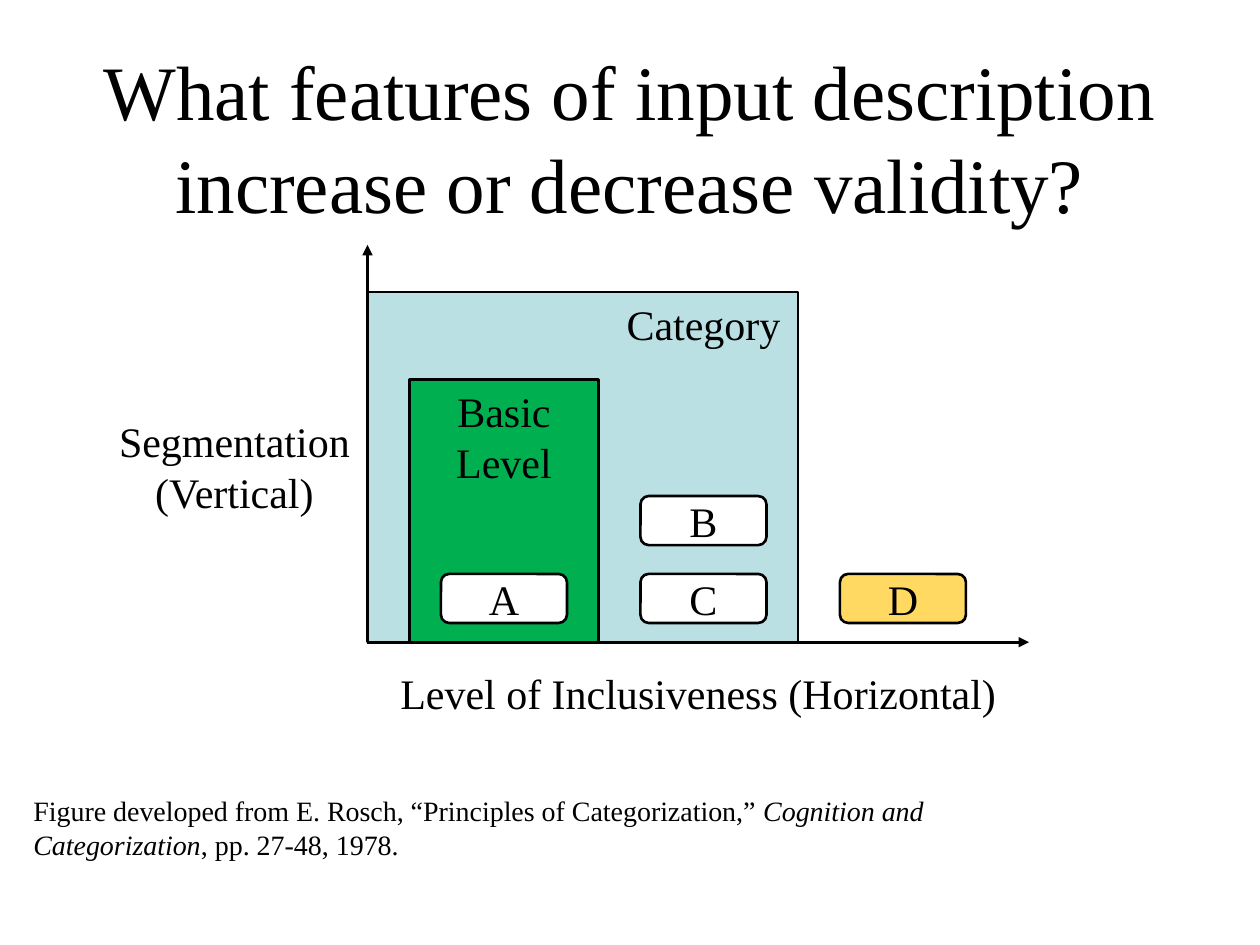
from lxml import etree
from pptx import Presentation
from pptx.dml.color import RGBColor
from pptx.enum.shapes import MSO_CONNECTOR, MSO_SHAPE
from pptx.enum.text import MSO_ANCHOR, PP_ALIGN
from pptx.oxml.ns import qn
from pptx.util import Pt

STRAIGHT = MSO_CONNECTOR.STRAIGHT
RECTANGLE, ROUNDED = MSO_SHAPE.RECTANGLE, MSO_SHAPE.ROUNDED_RECTANGLE
MIDDLE = MSO_ANCHOR.MIDDLE
LEFT, CENTER = PP_ALIGN.LEFT, PP_ALIGN.CENTER
FONT_NAME = "Times New Roman"
BLACK, WHITE = "000000", "FFFFFF"
PALE_BLUE, GREEN, YELLOW = "BBE0E3", "00B050", "FFD961"


def color(hex_string):
    """Return the colour for a hex string."""
    return RGBColor.from_string(hex_string)


def format_text(text_frame, size, alignment=CENTER):
    """Wrap the text and give every run the slide font."""
    text_frame.word_wrap = True
    for paragraph in text_frame.paragraphs:
        paragraph.alignment = alignment
        for run in paragraph.runs:
            run.font.name = FONT_NAME
            run.font.size = Pt(size)
            run.font.color.rgb = color(BLACK)


def add_label(slide, box, text, size=24):
    """Add a centred text box."""
    label = slide.shapes.add_textbox(*map(Pt, box))
    label.text_frame.text = text
    format_text(label.text_frame, size)


def add_block(slide, kind, box, fill, text=""):
    """Add a filled, black-outlined shape with optional text."""
    shape = slide.shapes.add_shape(kind, *map(Pt, box))
    shape.shadow.inherit = False
    shape.fill.solid()
    shape.fill.fore_color.rgb = color(fill)
    shape.line.color.rgb = color(BLACK)
    shape.line.width = Pt(1.5)
    if text:
        shape.text_frame.text = text
        shape.text_frame.vertical_anchor = MIDDLE
        format_text(shape.text_frame, 24)


def add_line(slide, start, end, arrow=False):
    """Add a black line, with an arrowhead at its end if asked."""
    connector = slide.shapes.add_connector(STRAIGHT, *map(Pt, start + end))
    connector.line.color.rgb = color(BLACK)
    connector.line.width = Pt(1.5)
    if arrow:
        line = connector.line._get_or_add_ln()
        etree.SubElement(line, qn("a:tailEnd"), type="triangle")
    etree.SubElement(connector._element.spPr, qn("a:effectLst"))


def add_diagram(slide, left, top, width, height):
    """Draw the axes, the nested category areas and the lettered items."""
    bottom = top + height
    category_top, category_right = top + 27, left + 246
    origin = (left, bottom)
    corner = (category_right, category_top)
    add_line(slide, origin, (left + width, bottom), arrow=True)
    add_line(slide, origin, (left, top), arrow=True)
    add_line(slide, (left, category_top), corner)
    add_line(slide, corner, (category_right, bottom))

    add_block(slide, RECTANGLE, (left, category_top, 246, 200), PALE_BLUE)
    basic_left, basic_top = left + 24, bottom - 150
    add_block(slide, RECTANGLE, (basic_left, basic_top, 108, 150), GREEN)
    add_label(slide, (category_right - 108, category_top, 108, 34), "Category")
    add_label(slide, (basic_left, basic_top, 108, 60), "Basic Level")

    items = [("A", 0, 0, WHITE), ("B", 1, 1, WHITE),
             ("C", 1, 0, WHITE), ("D", 2, 0, YELLOW)]
    for letter, column, level, fill in items:
        box = (left + 42 + 114 * column, bottom - 39 - 44.5 * level, 72, 28)
        add_block(slide, ROUNDED, box, fill, letter)


def add_citation(slide, left, top, width, height):
    """Add the source reference with the book title in italics."""
    citation = slide.shapes.add_textbox(*map(Pt, (left, top, width, height)))
    paragraph = citation.text_frame.paragraphs[0]
    parts = [
        ("Figure developed from E. Rosch, “Principles of Categorization,” ", False),
        ("Cognition and Categorization", True),
        (", pp. 27-48, 1978.", False),
    ]
    for text, italic in parts:
        run = paragraph.add_run()
        run.text = text
        run.font.italic = italic
    format_text(citation.text_frame, 16, LEFT)


def main():
    """Build and save the slide."""
    presentation = Presentation()
    presentation.slide_width, presentation.slide_height = Pt(720), Pt(540)
    slide = presentation.slides.add_slide(presentation.slide_layouts[6])
    title = "What features of input description increase or decrease validity?"
    add_label(slide, (36, 21.6, 648, 90), title, 44)
    add_label(slide, (59, 234, 150, 65.5), "Segmentation (Vertical)")
    add_label(slide, (189, 378, 420, 36), "Level of Inclusiveness (Horizontal)")
    add_diagram(slide, 210, 140, 378, 227)
    add_citation(slide, 12, 450, 576, 46)
    presentation.save("out.pptx")


if __name__ == "__main__":
    main()
